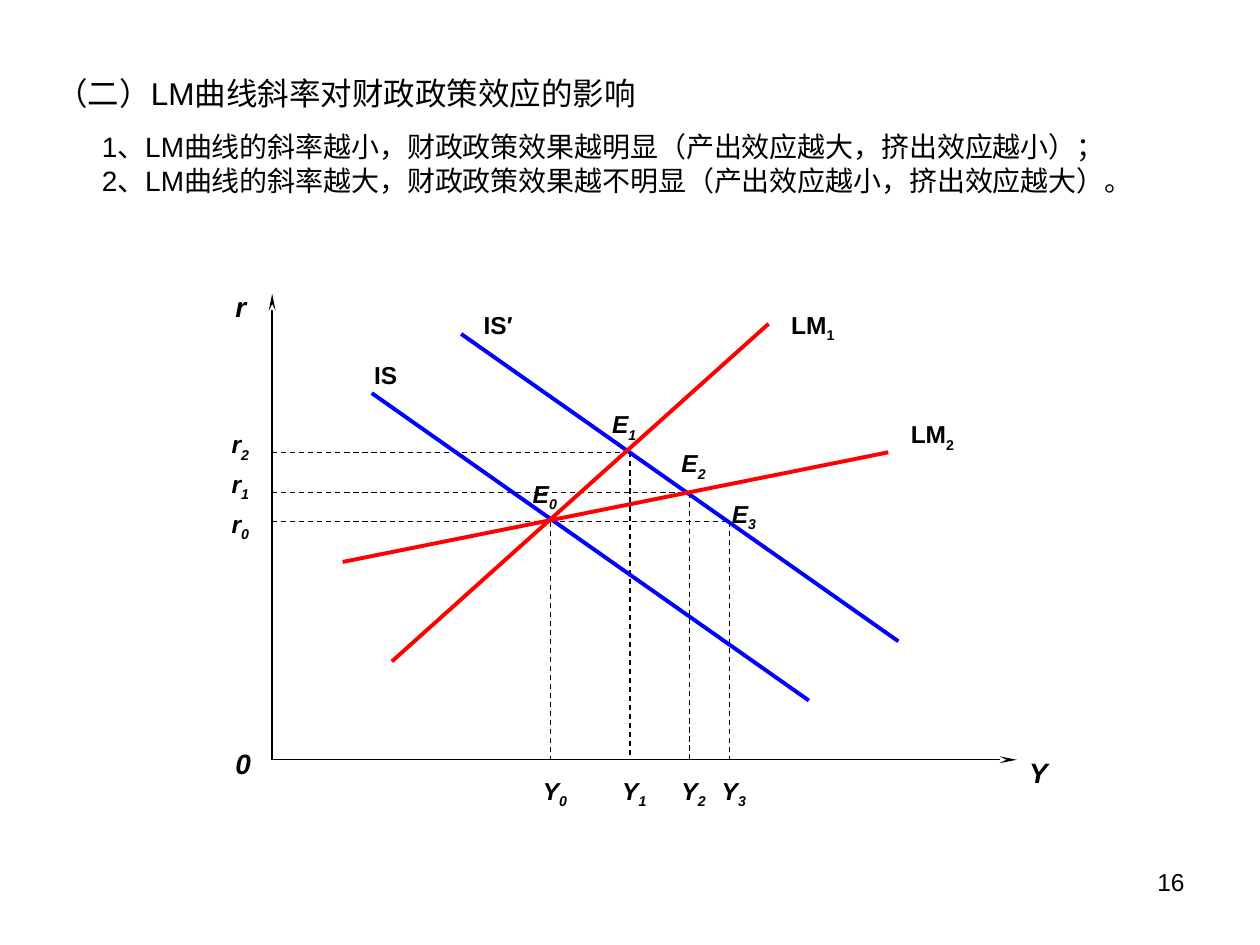
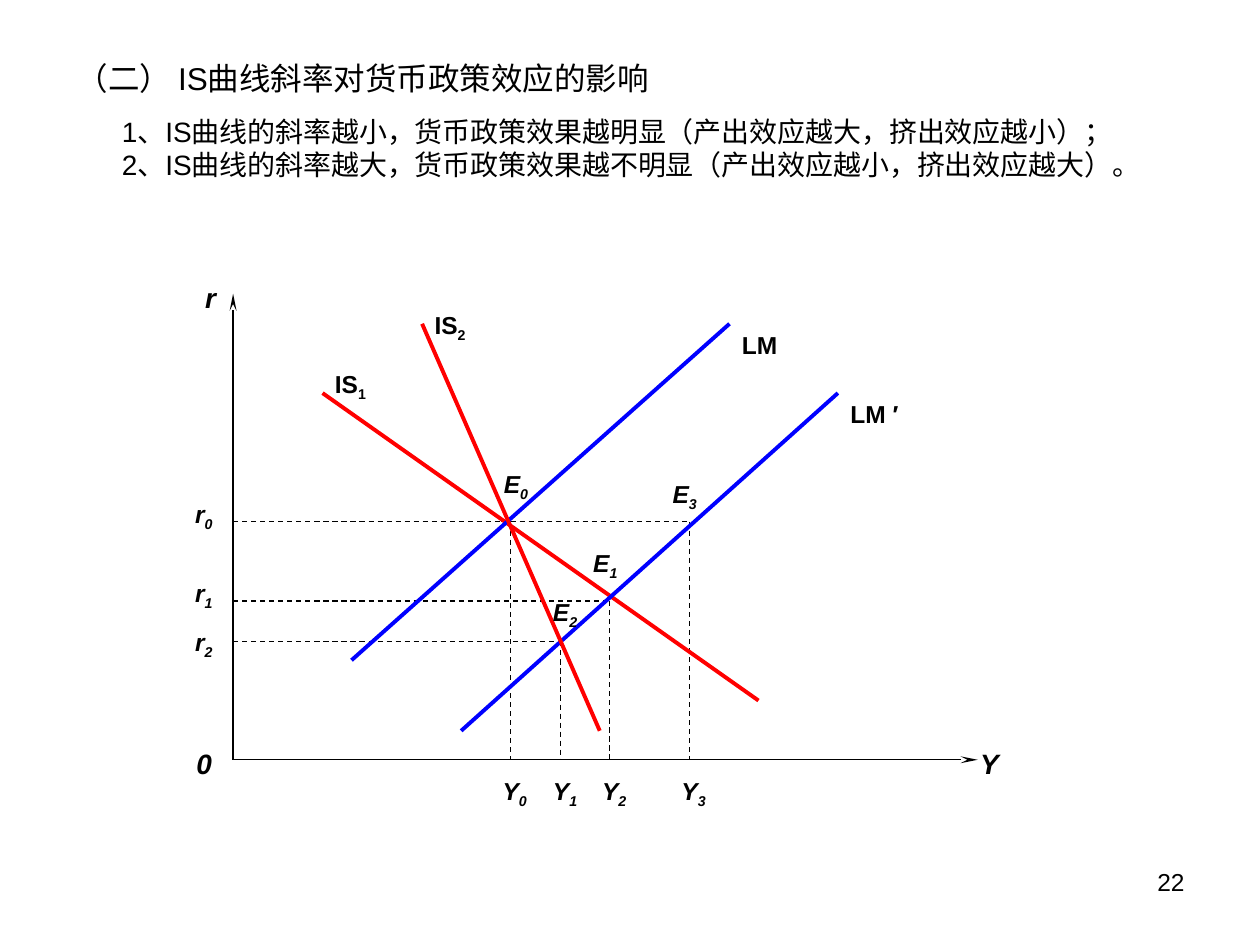
from lxml import etree
from pptx import Presentation
from pptx.dml.color import RGBColor
from pptx.enum.dml import MSO_LINE
from pptx.enum.shapes import MSO_CONNECTOR
from pptx.enum.text import PP_ALIGN
from pptx.oxml.ns import qn
from pptx.util import Inches, Pt

BLACK = RGBColor(0x00, 0x00, 0x00)
BLUE = RGBColor(0x00, 0x00, 0xFF)
RED = RGBColor(0xFF, 0x00, 0x00)
FONT = "Arial"
DASH = MSO_LINE.DASH
STRAIGHT = MSO_CONNECTOR.STRAIGHT
RIGHT = PP_ALIGN.RIGHT
WIDE, HIGH = 5.91, 3.7

FISCAL = {
    "page": "16",
    "head_at": (0.35, 0.54),
    "head": "（二）LM曲线斜率对财政政策效应的影响",
    "points": ["1、LM曲线的斜率越小，财政政策效果越明显（产出效应越大，挤出效应越小）；",
               "2、LM曲线的斜率越大，财政政策效果越不明显（产出效应越小，挤出效应越大）。"],
    "graph_at": (2.16, 2.33),
    "guides": [(0, 2.21, 1.81), (0, 2.84, 1.26), (0, 3.31, 1.58), (2.21, 3.63, 1.81)],
    "curves": [(BLUE, 0.79, 0.79, 4.26, 3.23), (BLUE, 1.5, 0.32, 4.97, 2.76),
               (RED, 0.95, 2.92, 3.94, 0.24), (RED, 0.56, 2.13, 4.89, 1.26)],
    "names": [("IS", 0.71, 0.48), ("IS′", 1.58, 0.08),
              ("LM_1", 4.02, 0.08), ("LM_2", 4.97, 0.95)],
    "axes": [("0", -0.39, 3.55), ("Y", 5.91, 3.62), ("r", -0.39, -0.08)],
    "marks": [("E_0", 1.97, 1.42), ("E_1", 2.6, 0.87),
              ("E_2", 3.15, 1.18), ("E_3", 3.55, 1.58),
              ("r_0", -0.42, 1.66), ("r_1", -0.42, 1.34), ("r_2", -0.42, 1.03)],
}

MONEY = {
    "page": "22",
    "head_at": (0.51, 0.42),
    "head": "（二） IS曲线斜率对货币政策效应的影响",
    "points": ["1、IS曲线的斜率越小，货币政策效果越明显（产出效应越大，挤出效应越小）；",
               "2、IS曲线的斜率越大，货币政策效果越不明显（产出效应越小，挤出效应越大）。"],
    "graph_at": (1.85, 2.33),
    "guides": [(0, 2.2, 1.81), (0, 2.99, 2.44), (0, 2.6, 2.76), (2.13, 3.62, 1.81)],
    "curves": [(RED, 0.71, 0.79, 4.17, 3.23), (BLUE, 1.81, 3.47, 4.8, 0.79),
               (BLUE, 0.94, 2.91, 3.94, 0.24), (RED, 1.5, 0.24, 2.91, 3.47)],
    "names": [("IS_1", 0.71, 0.55), ("IS_2", 1.5, 0.08),
              ("LM", 3.94, 0.24), ("LM ′", 4.8, 0.79)],
    "axes": [("0", -0.39, 3.55), ("Y", 5.83, 3.55), ("r", -0.32, -0.15)],
    "marks": [("E_0", 2.05, 1.34), ("E_1", 2.76, 1.97),
              ("E_2", 2.44, 2.36), ("E_3", 3.39, 1.42),
              ("r_0", -0.4, 1.58), ("r_1", -0.4, 2.21), ("r_2", -0.4, 2.6)],
}


def style(para, size, bold=False, slant=False):
    """Set the shared font on a paragraph."""
    font = para.font
    font.name, font.size = FONT, Pt(size)
    font.bold, font.italic = bold, slant
    font.color.rgb = BLACK


def add_box(slide, left, top, width, height):
    """Add a wrapping text box and return its frame."""
    frame = slide.shapes.add_textbox(
        Inches(left), Inches(top), Inches(width), Inches(height)).text_frame
    frame.word_wrap = True
    return frame


def add_label(slide, text, left, top, size=14, slant=True, width=0.47):
    """Add a bold label; what follows an underscore is set as a subscript."""
    para = add_box(slide, left, top, width, 0.33).paragraphs[0]
    base, _, sub = text.partition("_")
    para.add_run().text = base
    if sub:
        run = para.add_run()
        run.text = sub
        run._r.get_or_add_rPr().set("baseline", "-25000")
    style(para, size, True, slant)


def add_line(slide, start, end, color=BLACK, width=0.75, dash=None, arrow=False):
    """Draw a straight line, dashed or with an arrowhead if asked."""
    line = slide.shapes.add_connector(STRAIGHT, *map(Inches, start + end))
    line.line.color.rgb = color
    line.line.width = Pt(width)
    if dash:
        line.line.dash_style = dash
    if arrow:
        etree.SubElement(line.line._get_or_add_ln(), qn("a:tailEnd"),
                         type="stealth", w="sm", len="lg")
    etree.SubElement(line._element.spPr, qn("a:effectLst"))


def add_head(slide, left, top, head, points):
    """Write the heading and its indented points."""
    frame = add_box(slide, left, top, 9.1, 1.1)
    para = frame.paragraphs[0]
    para.text = head
    style(para, 18)
    for index, point in enumerate(points):
        para = frame.add_paragraph()
        para.text = point
        para._p.get_or_add_pPr().set("marL", str(Inches(0.36)))
        para.space_before = Pt(0 if index else 10)
        style(para, 16)


def add_page(slide, number):
    """Write the page number at the lower right."""
    para = add_box(slide, 7.17, 6.83, 2.33, 0.52).paragraphs[0]
    para.text = number
    para.alignment = RIGHT
    style(para, 14)


def add_graph(slide, left, top, data):
    """Draw axes, guides, curves and labels from the graph's top left."""
    def at(x, y):
        """Shift a point of the graph to the slide."""
        return left + x, top + y

    for end in ((0, 0), (WIDE, HIGH)):
        add_line(slide, at(0, HIGH), at(*end), arrow=True)
    for start, x, y in data["guides"]:
        add_line(slide, at(start, y), at(x, y), dash=DASH)
        add_line(slide, at(x, y), at(x, HIGH), dash=DASH)
    for color, x1, y1, x2, y2 in data["curves"]:
        add_line(slide, at(x1, y1), at(x2, y2), color, 2.25)

    for text, x, y in data["axes"]:
        add_label(slide, text, *at(x, y), size=16)
    for text, x, y in data["names"]:
        add_label(slide, text, *at(x, y), slant=False, width=0.85)
    for text, x, y in data["marks"]:
        add_label(slide, text, *at(x, y))
    for index, x in enumerate(sorted(guide[1] for guide in data["guides"])):
        add_label(slide, f"Y_{index}", *at(x - 0.16, HIGH + 0.08))


def add_slide(deck, data):
    """Add one slide with heading, graph and page number."""
    slide = deck.slides.add_slide(deck.slide_layouts[6])
    add_head(slide, *data["head_at"], data["head"], data["points"])
    add_graph(slide, *data["graph_at"], data)
    add_page(slide, data["page"])


def main():
    """Build and save the deck."""
    deck = Presentation()
    deck.slide_width, deck.slide_height = Inches(10), Inches(7.5)
    for data in (FISCAL, MONEY):
        add_slide(deck, data)
    deck.save("out.pptx")


if __name__ == "__main__":
    main()
